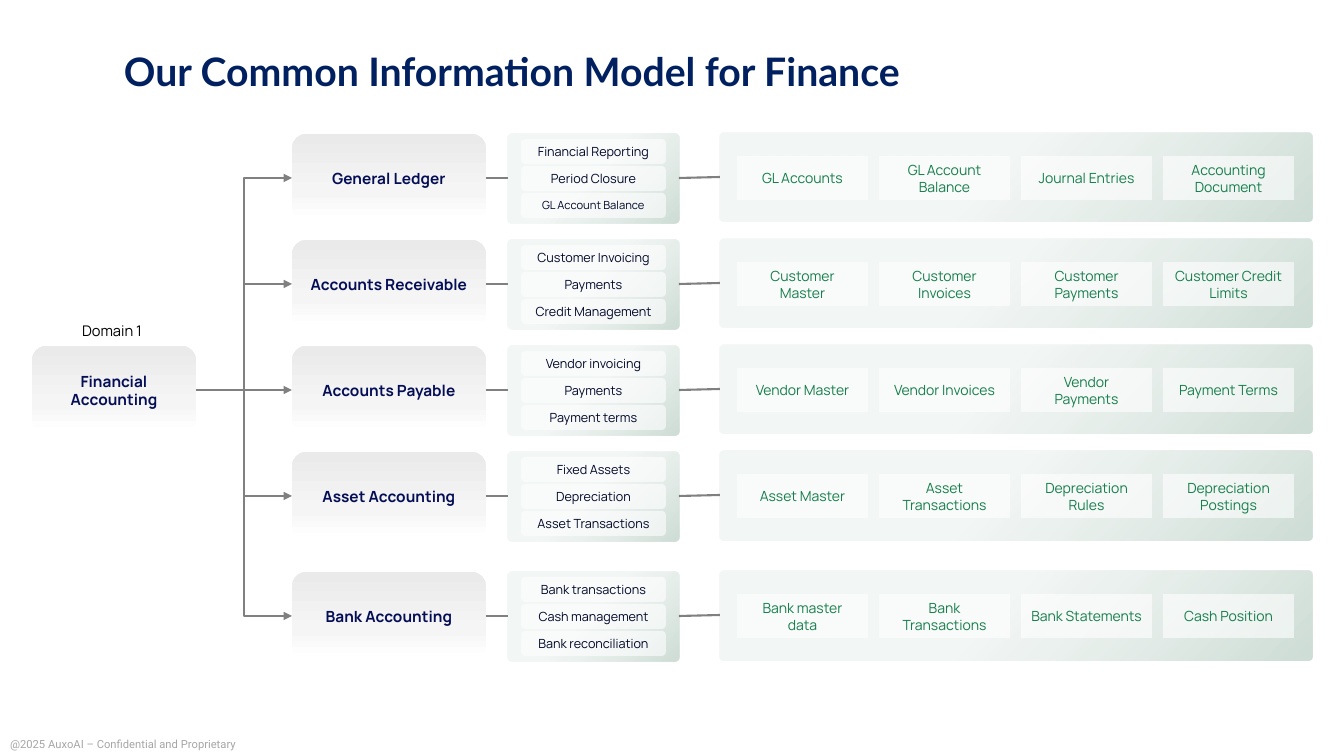
from lxml.etree import SubElement
from pptx import Presentation
from pptx.dml.color import RGBColor
from pptx.enum.shapes import MSO_CONNECTOR as LINK, MSO_SHAPE as SHAPE
from pptx.enum.text import MSO_ANCHOR as ANCHOR, PP_ALIGN as ALIGN
from pptx.oxml.ns import qn
from pptx.util import Pt

TITLE = "Our Common Information Model for Finance"
FOOTER = "@2025 AuxoAI – Confidential and Proprietary"
DOMAIN_LABEL, DOMAIN = "Domain 1", "Financial Accounting"
# row top, area, processes, data entities
ROWS = [
    (134, "General Ledger",
     ["Financial Reporting", "Period Closure", "GL Account Balance"],
     ["GL Accounts", "GL Account Balance", "Journal Entries", "Accounting Document"]),
    (240, "Accounts Receivable",
     ["Customer Invoicing", "Payments", "Credit Management"],
     ["Customer Master", "Customer Invoices", "Customer Payments", "Customer Credit Limits"]),
    (346, "Accounts Payable",
     ["Vendor invoicing", "Payments", "Payment terms"],
     ["Vendor Master", "Vendor Invoices", "Vendor Payments", "Payment Terms"]),
    (452, "Asset Accounting",
     ["Fixed Assets", "Depreciation", "Asset Transactions"],
     ["Asset Master", "Asset Transactions", "Depreciation Rules", "Depreciation Postings"]),
    (572, "Bank Accounting",
     ["Bank transactions", "Cash management", "Bank reconciliation"],
     ["Bank master data", "Bank Transactions", "Bank Statements", "Cash Position"]),
]
COLORS = {"title": "002060", "card": "040E56", "process": "02072A", "entity": "167E4C",
          "line": "808080", "footer": "A6A6A6", "black": "000000", "white": "FFFFFF"}
# gradient stops: position %, colour, opacity %
CARD_GRAD = [(3, "FFFFFF", 100), (35, "F5F5F5", 100), (100, "EAEAEB", 100)]
PANEL_GRAD = [(46, "83A997", 10), (100, "06522E", 20)]

PX = 914400 / 100.8
ROW_H = 89
DOMAIN_X, DOMAIN_Y, DOMAIN_W = 32, 346, 164
AREA_X, AREA_W = 292, 194
PROC_X, PROC_W = 508, 171
ENT_X, ENT_W = 720, 592
CHIP_X, CHIP_W, CHIP_H, CHIP_STEP = 521, 145, 25, 27
BOX_X, BOX_W, BOX_H, BOX_STEP = 737, 131, 44, 142


def emu(*lengths):
    return [round(v * PX) for v in lengths]


def write(sp, text, size, color, font="Manrope", bold=False, align=ALIGN.CENTER,
          anchor=ANCHOR.MIDDLE, spacing=None):
    tf = sp.text_frame
    tf.word_wrap = True
    tf.vertical_anchor = anchor
    tf.margin_left = tf.margin_right = emu(10)[0]
    tf.margin_top = tf.margin_bottom = emu(5)[0]
    p = tf.paragraphs[0]
    p.alignment = align
    p.line_spacing = spacing
    r = p.add_run()
    r.text = text
    r.font.size, r.font.name, r.font.bold = Pt(size), font, bold
    r.font.color.rgb = RGBColor.from_string(COLORS[color])


def add_label(box, text, size, color, **fmt):
    write(s.shapes.add_textbox(*emu(*box)), text, size, color, anchor=ANCHOR.TOP, **fmt)


def add_box(kind, box):
    sp = s.shapes.add_shape(kind, *emu(*box))
    sp.shadow.inherit = False
    sp.line.fill.background()
    return sp


def set_alpha(color_el, percent):
    SubElement(color_el, qn("a:alpha"), val=str(percent * 1000))


def set_gradient(sp, stops, angle):
    """Fill with any number of stops; angle is clockwise degrees."""
    sp.fill.gradient()
    sp.fill.gradient_angle = 360 - angle
    stop_list = next(sp.element.iter(qn("a:gsLst")))
    for old in list(stop_list):
        stop_list.remove(old)
    for pos, color, opacity in stops:
        gs = SubElement(stop_list, qn("a:gs"), pos=str(pos * 1000))
        color_el = SubElement(gs, qn("a:srgbClr"), val=color)
        if opacity < 100:
            set_alpha(color_el, opacity)


def add_card(x, y, w, text):
    sp = add_box(SHAPE.ROUNDED_RECTANGLE, (x, y, w, ROW_H))
    set_gradient(sp, CARD_GRAD, 270)
    write(sp, text, 11, "card", bold=True)


def add_panel(x, y, w):
    sp = add_box(SHAPE.ROUNDED_RECTANGLE, (x, y, w, ROW_H))
    sp.adjustments[0] = 0.06
    set_gradient(sp, PANEL_GRAD, 45)


def add_chip(kind, box, text, size, color):
    """Translucent white box with a label."""
    sp = add_box(kind, box)
    sp.fill.solid()
    sp.fill.fore_color.rgb = RGBColor.from_string(COLORS["white"])
    set_alpha(next(sp.element.iter(qn("a:srgbClr"))), 60)
    write(sp, text, size, color)


def add_link(x1, y1, x2, y2, kind=LINK.STRAIGHT, arrow=False):
    c = s.shapes.add_connector(kind, *emu(x1, y1, x2, y2))
    c.line.color.rgb = RGBColor.from_string(COLORS["line"])
    c.line.width = Pt(1.5)
    if arrow:
        SubElement(c.line._get_or_add_ln(), qn("a:tailEnd"), type="triangle")
    SubElement(c.element.spPr, qn("a:effectLst"))


prs = Presentation()
prs.slide_width, prs.slide_height = emu(1344, 756)
s = prs.slides.add_slide(prs.slide_layouts[6])

add_label((0, 732, 348, 24), FOOTER, 8, "footer", font="Roboto", align=ALIGN.LEFT)
add_label((114, 48, 1227, 54), TITLE, 28, "title", font="Lato", bold=True,
          align=ALIGN.LEFT, spacing=0.9)
add_label((45, 317, 134, 29), DOMAIN_LABEL, 10.5, "black")
add_card(DOMAIN_X, DOMAIN_Y, DOMAIN_W, DOMAIN)

domain_mid = DOMAIN_Y + ROW_H // 2
for top, area, processes, entities in ROWS:
    mid = top + ROW_H // 2
    add_card(AREA_X, top, AREA_W, area)
    add_link(DOMAIN_X + DOMAIN_W, domain_mid, AREA_X, mid, arrow=True,
             kind=LINK.STRAIGHT if mid == domain_mid else LINK.ELBOW)
    add_link(AREA_X + AREA_W, mid, PROC_X, mid)
    add_link(PROC_X + PROC_W, mid, ENT_X, mid - 1)

    add_panel(PROC_X, top, PROC_W)
    for i, process in enumerate(processes):
        size = 8 if process == "GL Account Balance" else 9
        add_chip(SHAPE.ROUNDED_RECTANGLE,
                 (CHIP_X, top + 5 + i * CHIP_STEP, CHIP_W, CHIP_H), process, size, "process")

    add_panel(ENT_X, top - 1, ENT_W)
    for i, entity in enumerate(entities):
        add_chip(SHAPE.RECTANGLE,
                 (BOX_X + i * BOX_STEP, mid - BOX_H // 2, BOX_W, BOX_H), entity, 10, "entity")

prs.save("out.pptx")
